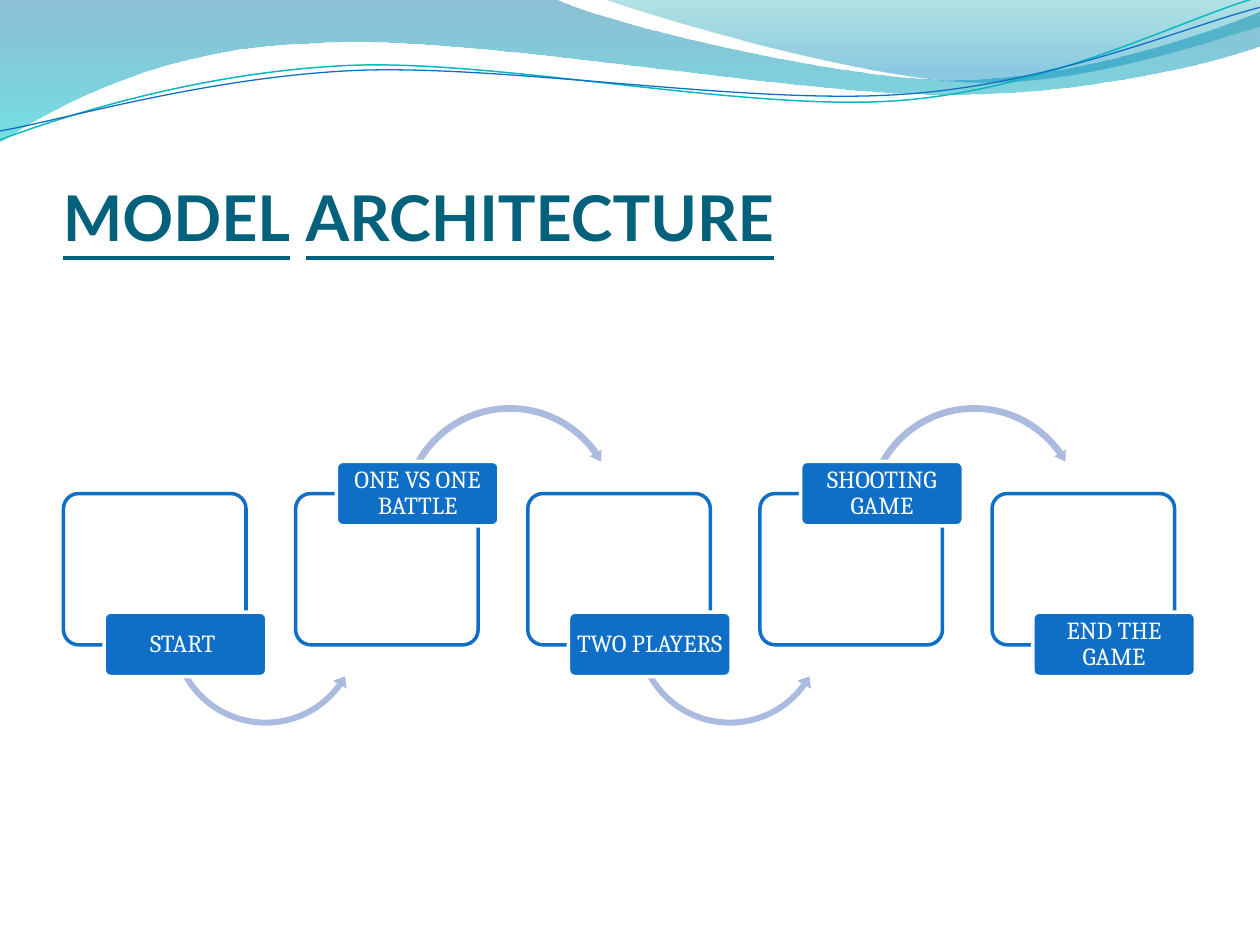
from lxml import etree
from pptx import Presentation
from pptx import util as u
from pptx.dml.color import RGBColor
from pptx.enum import shapes, text
from pptx.oxml.ns import qn
from pptx.util import Cm, Pt

BLUE = RGBColor(0x0F, 0x6F, 0xC6)
TEAL = RGBColor(0x0A, 0xB8, 0xBF)
TITLE = RGBColor(0x04, 0x61, 0x7B)
ARROW = RGBColor(0xAB, 0xBB, 0xDF)
WHITE = RGBColor(0xFF, 0xFF, 0xFF)
WAVE_BLUE, WAVE_CYAN = RGBColor(0x00, 0x74, 0xA1), RGBColor(0x00, 0xC6, 0xCF)
CREST_TEAL, CREST_BLUE = RGBColor(0x00, 0xA1, 0xA9), RGBColor(0x00, 0x8B, 0xBF)

prs = Presentation()
prs.slide_width, prs.slide_height = Cm(25.4), Cm(19.05)
slide = prs.slides.add_slide(prs.slide_layouts[6])


def set_opacity(s, *percents):
    """Set the opacity of the fill colours of a shape, in order."""
    for clr, pct in zip(s._element.spPr.iter(qn("a:srgbClr")), percents):
        etree.SubElement(clr, qn("a:alpha")).set("val", str(pct * 1000))


def add_wave(start, steps, close):
    """Draw straight steps (x, y) and Bezier steps (six numbers), in cm."""
    points = [(u.Cm(x), u.Cm(y)) for step in steps for x, y in zip(step[::2], step[1::2])]
    fb = slide.shapes.build_freeform(Cm(start[0]), Cm(start[1]))
    fb.add_line_segments(points, close=close)
    s = fb.convert_to_shape()
    s.shadow.inherit = False
    # Join the three points of each Bezier step into one curve
    lines = iter(list(s._element.spPr.iter(qn("a:lnTo"))))
    for step in steps:
        parts = [next(lines) for _ in step[::2]]
        if len(parts) == 3:
            curve = etree.Element(qn("a:cubicBezTo"))
            parts[0].addprevious(curve)
            for part in parts:
                curve.append(part[0])
                part.getparent().remove(part)
    return s


# Filled waves: start, steps, gradient stops (position, colour, opacity)
filled_waves = [
    ((0, 0), [(11.18, -0.03),
              (12.09, 0.43, 16.87, 1.6, 19.25, 1.6),
              (21.67, 1.6, 24.33, 0.66, 25.4, 0.23),
              (25.43, 0.91),
              (24.97, 1.12, 22.1, 1.93, 18.95, 1.9),
              (15.8, 1.9, 9.7, 0.71, 6.53, 0.86),
              (3.28, 0.91, 1.17, 2.11, -0.03, 2.87),
              (0, 0)],
     [(0, WAVE_BLUE, 45), (1, WAVE_CYAN, 55)]),
    ((12.17, -0.03), [(12.93, 0.28, 17.32, 1.57, 19.53, 1.65),
                      (21.74, 1.75, 24.41, 0.81, 25.4, 0.53),
                      (25.4, 0),
                      (12.17, -0.03)],
     [(0, CREST_TEAL, 30), (0.8, CREST_BLUE, 45)]),
]
for start, steps, stops in filled_waves:
    s = add_wave(start, steps, True)
    s.line.fill.background()
    s.fill.gradient()
    s.fill.gradient_angle = 270
    for stop, (position, color, _) in zip(s.fill.gradient_stops, stops):
        stop.position = position
        stop.color.rgb = color
    set_opacity(s, *[opacity for _, _, opacity in stops])

# Thin wave lines
wave_lines = [
    ((0, 2.82), [(1.22, 2.36, 4.01, 1.45, 7.04, 1.32),
                 (10.03, 1.19, 15.06, 2.26, 18.11, 2.03),
                 (21.16, 1.8, 23.83, 0.38, 25.35, -0.05)], TEAL, 0.85),
    ((0, 2.64), [(1.19, 2.44, 4.17, 1.55, 7.19, 1.42),
                 (10.24, 1.3, 15.16, 2.13, 18.21, 1.9),
                 (21.23, 1.7, 23.9, 0.53, 25.4, 0.15)], BLUE, 0.75),
]
for start, steps, color, width in wave_lines:
    s = add_wave(start, steps, False)
    s.fill.background()
    s.line.color.rgb = color
    s.line.width = Pt(width)

# Title
tf = slide.shapes.add_textbox(Cm(1.27), Cm(1.95), Cm(22.86), Cm(3.18)).text_frame
tf.word_wrap = True
tf.vertical_anchor = text.MSO_ANCHOR.BOTTOM
tf.margin_left = tf.margin_right = tf.margin_bottom = 0
tf.margin_top = Cm(0.13)
p = tf.paragraphs[0]
p.font.name, p.font.size, p.font.bold = "Lato", Pt(36), True
p.font.color.rgb = TITLE
for word, underline in [("MODEL", True), (" ", False), ("ARCHITECTURE", True)]:
    r = p.add_run()
    r.text = word
    r.font.underline = underline

# Process: labels alternate between the bottom and the top of their boxes
SHAPE = shapes.MSO_SHAPE
LEFT, PITCH = 1.28, 4.68
stages = ["START ", "ONE VS ONE BATTLE", "TWO PLAYERS", "SHOOTING GAME", "END THE GAME"]
# label top, arrow shape, arrow top, arrow size, arrow adjustments
layouts = [
    (12.34, SHAPE.LEFT_CIRCULAR_ARROW, 10.72, 4.01, [0.03, 3.73, 21.49, 90.25, 0.04]),
    (9.3, SHAPE.CIRCULAR_ARROW, 8.1, 4.5, [0.03, 3.31, 194.93, 125.76, 0.03]),
]
for i, stage in enumerate(stages):
    x = LEFT + i * PITCH
    label_top, arrow_shape, arrow_top, arrow_size, adjustments = layouts[i % 2]

    box = slide.shapes.add_shape(SHAPE.ROUNDED_RECTANGLE, Cm(x), Cm(9.95), Cm(3.68), Cm(3.05))
    box.fill.solid()
    box.fill.fore_color.rgb = WHITE
    set_opacity(box, 90)
    box.line.color.rgb = BLUE

    if i < len(stages) - 1:
        arrow = slide.shapes.add_shape(arrow_shape, Cm(x + 2.07), Cm(arrow_top),
                                       Cm(arrow_size), Cm(arrow_size))
        for n, value in enumerate(adjustments):
            arrow.adjustments[n] = value
        arrow.shadow.inherit = False
        arrow.fill.solid()
        arrow.fill.fore_color.rgb = ARROW
        arrow.line.fill.background()

    label = slide.shapes.add_shape(SHAPE.ROUNDED_RECTANGLE, Cm(x + 0.82), Cm(label_top),
                                   Cm(3.28), Cm(1.3))
    label.fill.solid()
    label.fill.fore_color.rgb = BLUE
    label.line.color.rgb = WHITE
    for s in (box, label):
        s.adjustments[0] = 0.1
        s.shadow.inherit = False
        s.line.width = Pt(2)

    tf = label.text_frame
    tf.word_wrap = True
    tf.vertical_anchor = text.MSO_ANCHOR.MIDDLE
    tf.margin_left = tf.margin_right = Cm(0.06)
    tf.margin_top = tf.margin_bottom = Cm(0.04)
    p = tf.paragraphs[0]
    p.text = stage
    p.alignment = text.PP_ALIGN.CENTER
    p.line_spacing = 0.9
    p.font.name, p.font.size = "Cambria", Pt(14)
    p.font.color.rgb = WHITE

prs.save("out.pptx")
